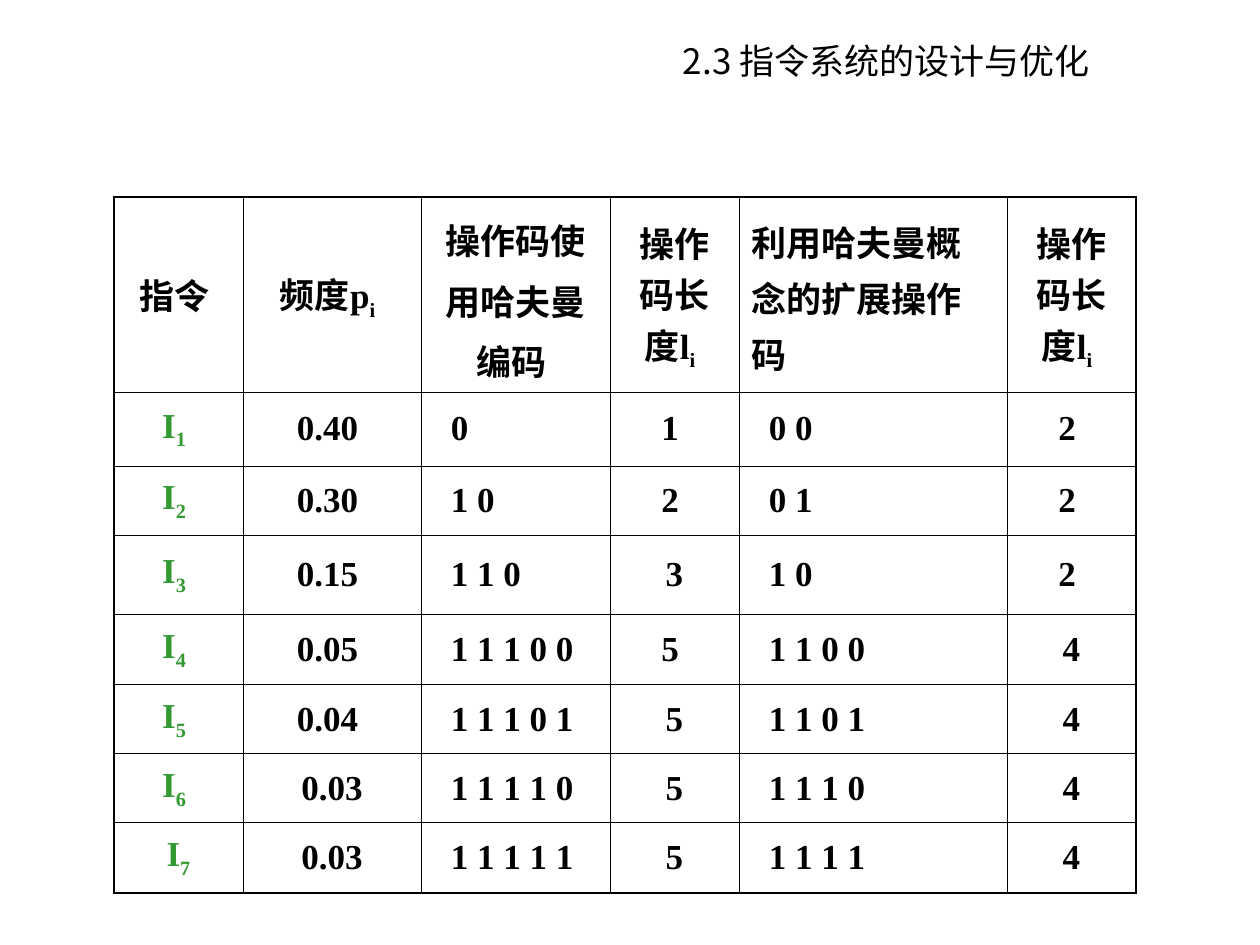
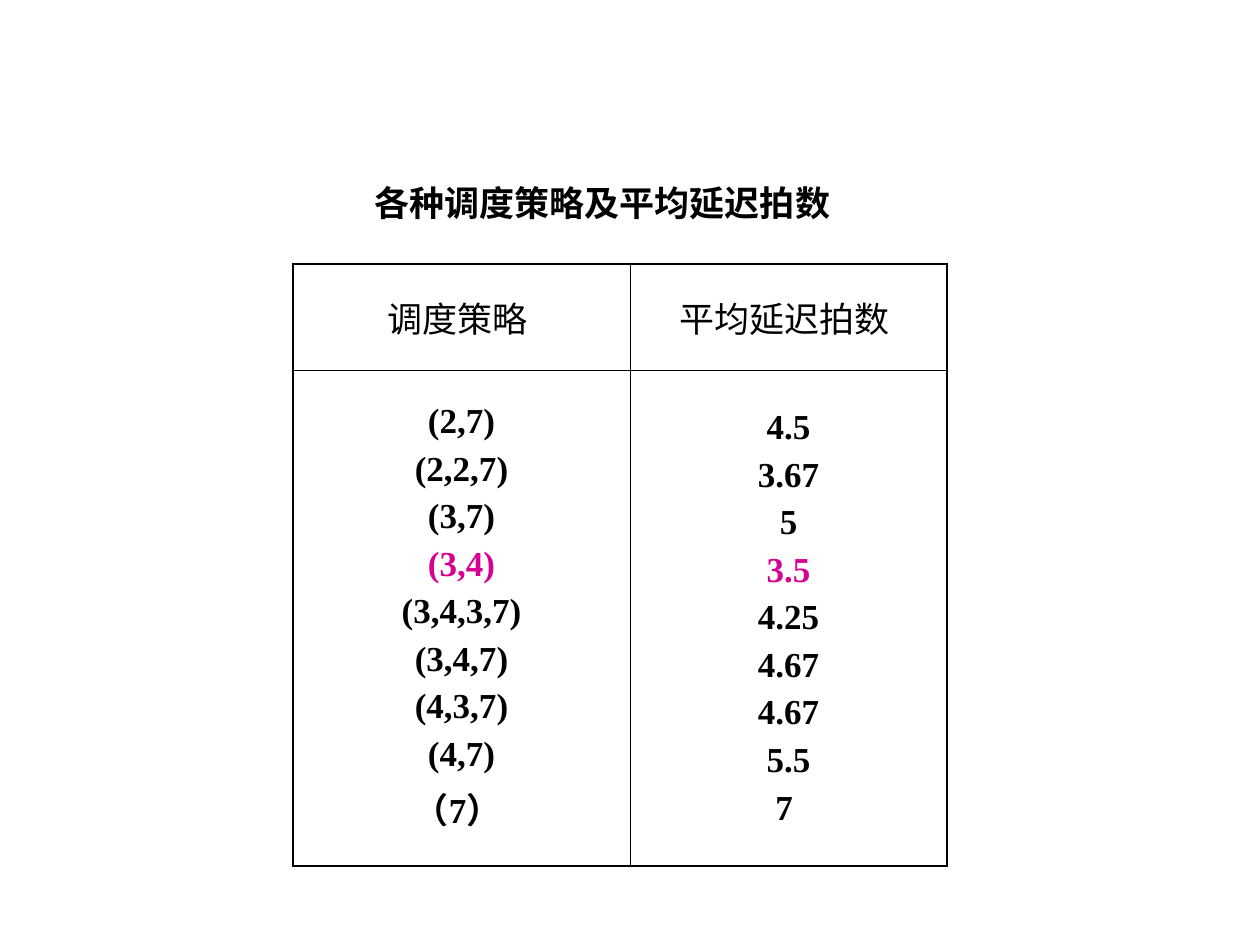
from pptx import Presentation
from pptx.dml.color import RGBColor as RGB
from pptx.enum.text import MSO_ANCHOR as Anchor, PP_ALIGN as Align
from pptx.oxml.ns import qn
from pptx.util import Emu, Pt
from lxml.etree import SubElement as Sub

SCALE = 914400 / 126
SIZE = 20
SERIF = "Times New Roman"
BLACK, GREEN, PINK = "000000", "339933", "D60093"
THICK, THIN = 1.08, 0.45

CODES = [  # frequency, code, length, extended code, extended length
    ("0.40 ", "0 ", "1 ", "0 0 ", "2 "),
    ("0.30 ", "1 0 ", "2 ", "0 1 ", "2 "),
    ("0.15 ", "1 1 0 ", "3", "1 0 ", "2 "),
    ("0.05 ", "1 1 1 0 0 ", "5 ", "1 1 0 0 ", "4"),
    ("0.04 ", "1 1 1 0 1 ", "5", "1 1 0 1 ", "4"),
    ("0.03", "1 1 1 1 0 ", "5", "1 1 1 0 ", "4"),
    ("0.03", "1 1 1 1 1 ", "5", "1 1 1 1 ", "4"),
]
PLANS = [
    ("(2,7)", "4.5"), ("(2,2,7)", "3.67"), ("(3,7)", "5"),
    ("(3,4)", "3.5"), ("(3,4,3,7)", "4.25"), ("(3,4,7)", "4.67"),
    ("(4,3,7)", "4.67"), ("(4,7)", "5.5"), ("（7） ", "7 "),
]
BEST = 3


def px(length):
    """Turn pixels into EMU."""
    return Emu(round(length * SCALE))


def paint(color, code):
    """Set a colour from a hex string."""
    color.rgb = RGB.from_string(code)


def add_run(para, text, font=SERIF, bold=True, color=BLACK, sub=False):
    """Append one styled run, lowered when sub is set."""
    run = para.add_run()
    run.text = text
    run.font.name, run.font.size, run.font.bold = font, Pt(SIZE), bold
    paint(run.font.color, color)
    if sub:
        run._r.get_or_add_rPr().set("baseline", "-25000")


def add_para(frame, first=False, align=Align.CENTER, before=5, lead=None):
    """Return the first or a new paragraph with its spacing set."""
    para = frame.paragraphs[0] if first else frame.add_paragraph()
    para.alignment, para.space_before = align, Pt(before)
    if lead:
        para.line_spacing = lead
    return para


def add_label(slide, box, text, font, bold, anchor, **look):
    """Add a wrapped one-line text box."""
    frame = slide.shapes.add_textbox(*map(px, box)).text_frame
    frame.word_wrap, frame.vertical_anchor = True, anchor
    add_run(add_para(frame, True, **look), text, font, bold)


def add_edge(cell, side, width):
    """Draw one border of a cell."""
    line = Sub(cell._tc.get_or_add_tcPr(), qn("a:ln" + side), w=str(Pt(width)))
    Sub(Sub(line, qn("a:solidFill")), qn("a:srgbClr"), val=BLACK)


def add_grid(slide, left, top, cols, rows):
    """Add an unfilled table with a thick frame and thin inner lines."""
    box = (left, top, sum(cols), sum(rows))
    grid = slide.shapes.add_table(len(rows), len(cols), *map(px, box)).table
    grid.first_row = grid.horz_banding = False
    for col, width in zip(grid.columns, cols):
        col.width = px(width)
    for row, height in zip(grid.rows, rows):
        row.height = px(height)
    for r in range(len(rows)):
        for c in range(len(cols)):
            cell = grid.cell(r, c)
            outer = {"L": c == 0, "R": c == len(cols) - 1,
                     "T": r == 0, "B": r == len(rows) - 1}
            for side, edge in outer.items():
                add_edge(cell, side, THICK if edge else THIN)
            cell.fill.background()
            cell.vertical_anchor = Anchor.MIDDLE
    return grid


def fill_cell(cell, text, sub="", tail="", color=BLACK, **look):
    """Write a text, an optional subscript and a tail into a cell."""
    para = add_para(cell.text_frame, True, **look)
    add_run(para, text, color=color)
    if sub:
        add_run(para, sub, color=color, sub=True)
    if tail:
        add_run(para, tail, color=color)


def draw_codes(slide):
    """Build the slide that compares operation codes."""
    add_label(slide, (535, 34, 703, 53), "2.3 指令系统的设计与优化",
              "Noto Sans CJK SC", False, Anchor.MIDDLE, before=0)
    grid = add_grid(slide, 114, 197, [129, 178, 189, 129, 268, 129],
                    [195, 74, 69, 80, 70, 69, 69, 70])
    heads = [("指令 ", "", "", {}), ("频度p", "i", " ", {}),
             ("操作码使用哈夫曼编码 ", "", "", {"lead": 1.2}),
             ("操作码长度l", "i", " ", {}),
             ("利用哈夫曼概念的扩展操作码 ", "", "",
              {"lead": 1.1, "align": Align.LEFT}),
             ("操作码长度l", "i", " ", {})]
    for c, (text, sub, tail, look) in enumerate(heads):
        fill_cell(grid.cell(0, c), text, sub, tail, **look)
    for r, row in enumerate(CODES, 1):
        tail = " " if r < len(CODES) else ""
        fill_cell(grid.cell(r, 0), "I", str(r), tail, GREEN)
        for c, text in enumerate(row, 1):
            cell = grid.cell(r, c)
            code = c in (2, 4)
            if code:
                cell.margin_left = px(30)
            fill_cell(cell, text, align=Align.LEFT if code else Align.CENTER)


def draw_plans(slide):
    """Build the slide that lists scheduling plans and mean delays."""
    grid = add_grid(slide, 293, 264, [337, 317], [106, 496])
    for c, head in enumerate(("调度策略 ", "平均延迟拍数 ")):
        para = add_para(grid.cell(0, c).text_frame, True)
        add_run(para, head, "Arial", False)
        for i, plan in enumerate(PLANS):
            para = add_para(grid.cell(1, c).text_frame, i == 0)
            add_run(para, plan[c], color=PINK if i == BEST else BLACK)
    add_label(slide, (362, 175, 536, 55), "各种调度策略及平均延迟拍数 ",
              "Roboto", True, Anchor.TOP, align=Align.LEFT, before=12.5)


def main():
    """Build and save both slides."""
    deck = Presentation()
    deck.slide_width, deck.slide_height = px(1260), px(945)
    for draw in (draw_codes, draw_plans):
        draw(deck.slides.add_slide(deck.slide_layouts[6]))
    deck.save("out.pptx")


main()
